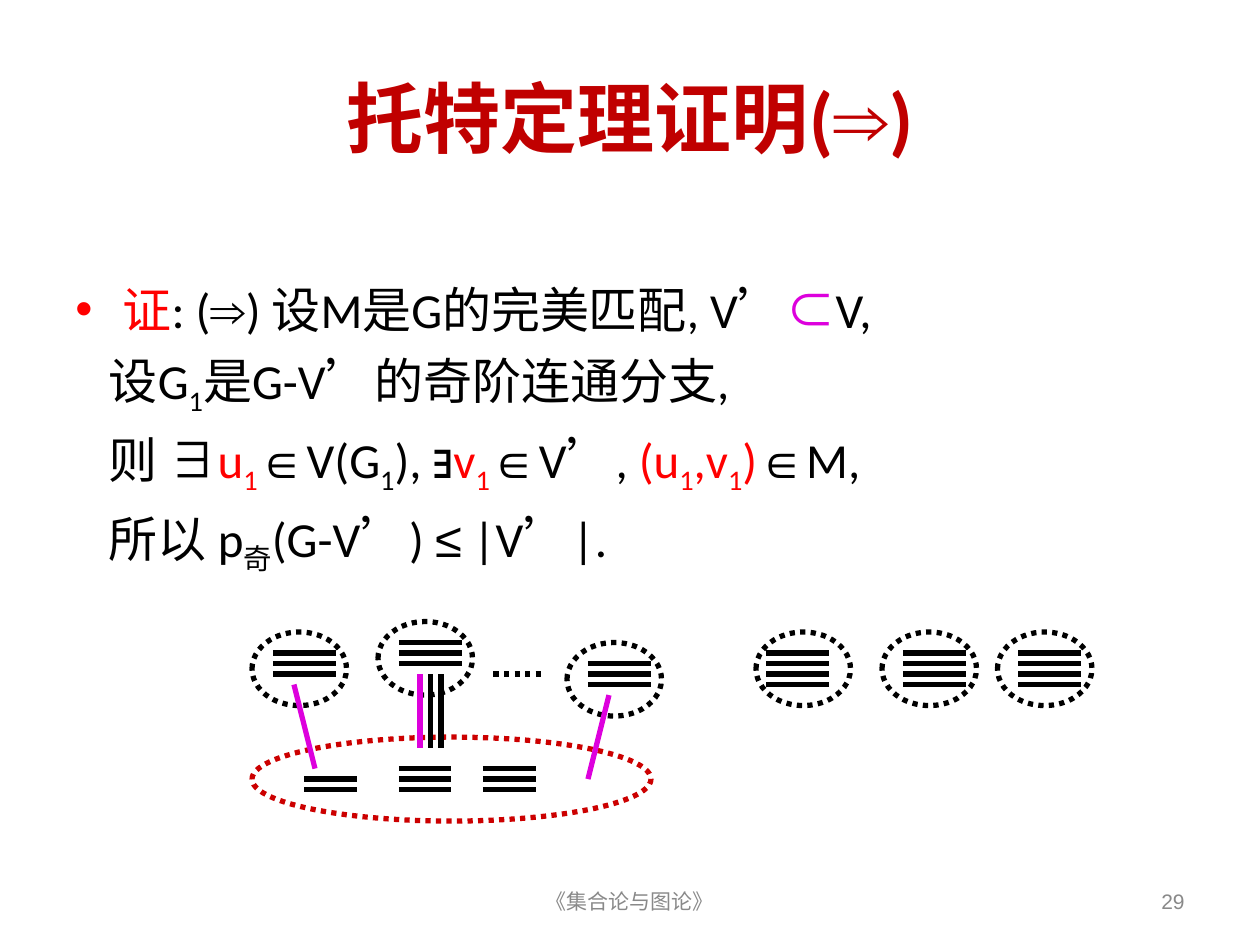
import pptx
import pptx.util
import pptx.dml.color
import pptx.enum.dml
import pptx.enum.shapes
import pptx.enum.text
from lxml import etree

EMU_PER_PX = 7620
BLACK, RED, DARK_RED, MAGENTA, GRAY = "000000", "FF0000", "C00000", "DD00DD", "898989"
ALIGN = pptx.enum.text.PP_ALIGN
ANCHOR = pptx.enum.text.MSO_ANCHOR
DOTTED = pptx.enum.dml.MSO_LINE.ROUND_DOT

BODY = [
    [("证", RED), (": (",), ("⇒", BLACK, "Arial"), (") 设M是G的完美匹配, V’",),
     ("⊂", MAGENTA, "Arial"), ("V,",)],
    [("设G",), ("1", BLACK, "Calibri", True), ("是G-V’的奇阶连通分支,",)],
    [("则 ",), ("∃", BLACK, "Arial"), ("u", RED), ("1", RED, "Calibri", True),
     ("∈", BLACK, "Arial"), ("V(G",), ("1", BLACK, "Calibri", True), ("), ",),
     ("∃", BLACK, "Arial"), ("v", RED), ("1", RED, "Calibri", True),
     ("∈", BLACK, "Arial"), ("V’, ",), ("(u", RED), ("1", RED, "Calibri", True),
     (",v", RED), ("1", RED, "Calibri", True), (")", RED), ("∈", BLACK, "Arial"), ("M,",)],
    [("所以 p",), ("奇", BLACK, "Calibri", True), ("(G-V’) ",),
     ("≤", BLACK, "Arial"), (" |V’|.",)],
]


def px(length):
    return pptx.util.Emu(length * EMU_PER_PX)


def color(value):
    return pptx.dml.color.RGBColor.from_string(value)


def add_run(paragraph, text, run_color=BLACK, font="Calibri", subscript=False):
    run = paragraph.add_run()
    run.text = text
    run.font.name = font
    run.font.color.rgb = color(run_color)
    if subscript:
        run._r.get_or_add_rPr().set("baseline", "-25000")


def set_indent(paragraph, margin, hanging):
    properties = paragraph._p.get_or_add_pPr()
    properties.set("marL", str(px(margin)))
    properties.set("indent", str(px(-hanging)))
    return properties


def add_bullet(properties):
    bullet_color = etree.SubElement(properties, pptx.oxml.ns.qn("a:buClr"))
    etree.SubElement(bullet_color, pptx.oxml.ns.qn("a:srgbClr"), val=RED)
    etree.SubElement(properties, pptx.oxml.ns.qn("a:buFont"), typeface="Arial")
    etree.SubElement(properties, pptx.oxml.ns.qn("a:buChar"), char="•")


def add_text_box(slide, box, anchor=ANCHOR.TOP):
    frame = slide.shapes.add_textbox(*map(px, box)).text_frame
    frame.word_wrap = True
    frame.vertical_anchor = anchor
    return frame


def place_title(slide, box):
    title = slide.shapes.title
    title.left, title.top, title.width, title.height = map(px, box)
    title.text_frame.vertical_anchor = ANCHOR.MIDDLE
    paragraph = title.text_frame.paragraphs[0]
    paragraph.alignment = ALIGN.CENTER
    paragraph.font.size = pptx.util.Pt(44)
    paragraph.font.bold = True
    for text, font in (("托特定理证明(", "Calibri"), ("⇒", "Arial"), (")", "Calibri")):
        add_run(paragraph, text, DARK_RED, font)


def add_proof(slide, box):
    frame = add_text_box(slide, box)
    for index, runs in enumerate(BODY):
        if index == 0:
            paragraph = frame.paragraphs[0]
            add_bullet(set_indent(paragraph, 45, 45))
        else:
            paragraph = frame.add_paragraph()
            set_indent(paragraph, 32, 0)
            paragraph.space_before = pptx.util.Pt(7)
        paragraph.font.size = pptx.util.Pt(28)
        for run in runs:
            add_run(paragraph, *run)


def add_footer(slide, box, text, alignment):
    paragraph = add_text_box(slide, box, ANCHOR.MIDDLE).paragraphs[0]
    paragraph.text = text
    paragraph.alignment = alignment
    paragraph.font.size = pptx.util.Pt(12)
    paragraph.font.name = "Arial"
    paragraph.font.color.rgb = color(GRAY)


def add_diagram(slide, left, top):
    group = slide.shapes.add_group_shape()

    def style_line(line, line_color):
        line.color.rgb = color(line_color)
        line.width = pptx.util.Pt(3)

    def add_oval(x, y, width, height, line_color=BLACK):
        oval = group.shapes.add_shape(
            pptx.enum.shapes.MSO_SHAPE.OVAL, px(left + x), px(top + y), px(width), px(height))
        oval.shadow.inherit = False
        oval.fill.background()
        style_line(oval.line, line_color)
        oval.line.dash_style = DOTTED

    def add_edge(x1, y1, x2, y2, line_color=BLACK):
        edge = group.shapes.add_connector(
            pptx.enum.shapes.MSO_CONNECTOR.STRAIGHT,
            px(left + x1), px(top + y1), px(left + x2), px(top + y2))
        style_line(edge.line, line_color)
        etree.SubElement(edge._element.spPr, pptx.oxml.ns.qn("a:effectLst"))
        return edge

    def add_stack(x, y, length, count):
        for row in range(count):
            add_edge(x, y + 10 * row, x + length, y + 10 * row)

    components = [(0, 10, 20, 3), (120, 0, 20, 3), (300, 20, 20, 3),
                  (480, 10, 10, 4), (600, 10, 20, 4), (710, 10, 20, 4)]
    for x, y, inset, count in components:
        add_oval(x, y, 90, 70)
        add_stack(x + inset, y + 20, 60, count)

    add_oval(0, 110, 380, 80, "CC0000")
    for x, y, count in ((50, 150, 2), (140, 140, 3), (220, 140, 3)):
        add_stack(x, y, 50, count)

    add_edge(230, 50, 280, 50).line.dash_style = DOTTED
    add_edge(40, 60, 60, 140, MAGENTA)
    add_edge(340, 70, 320, 150, MAGENTA)
    for x, line_color in ((160, MAGENTA), (170, BLACK), (180, BLACK)):
        add_edge(x, 50, x, 120, line_color)


def main():
    presentation = pptx.Presentation()
    presentation.slide_width, presentation.slide_height = px(1200), px(900)
    slide = presentation.slides.add_slide(presentation.slide_layouts[5])
    place_title(slide, (60, 36, 1080, 150))
    add_proof(slide, (60, 260, 1080, 415))
    add_footer(slide, (410, 834, 380, 48), "《集合论与图论》", ALIGN.CENTER)
    add_footer(slide, (860, 834, 280, 48), "29", ALIGN.RIGHT)
    add_diagram(slide, 240, 592)
    presentation.save("out.pptx")


if __name__ == "__main__":
    main()
